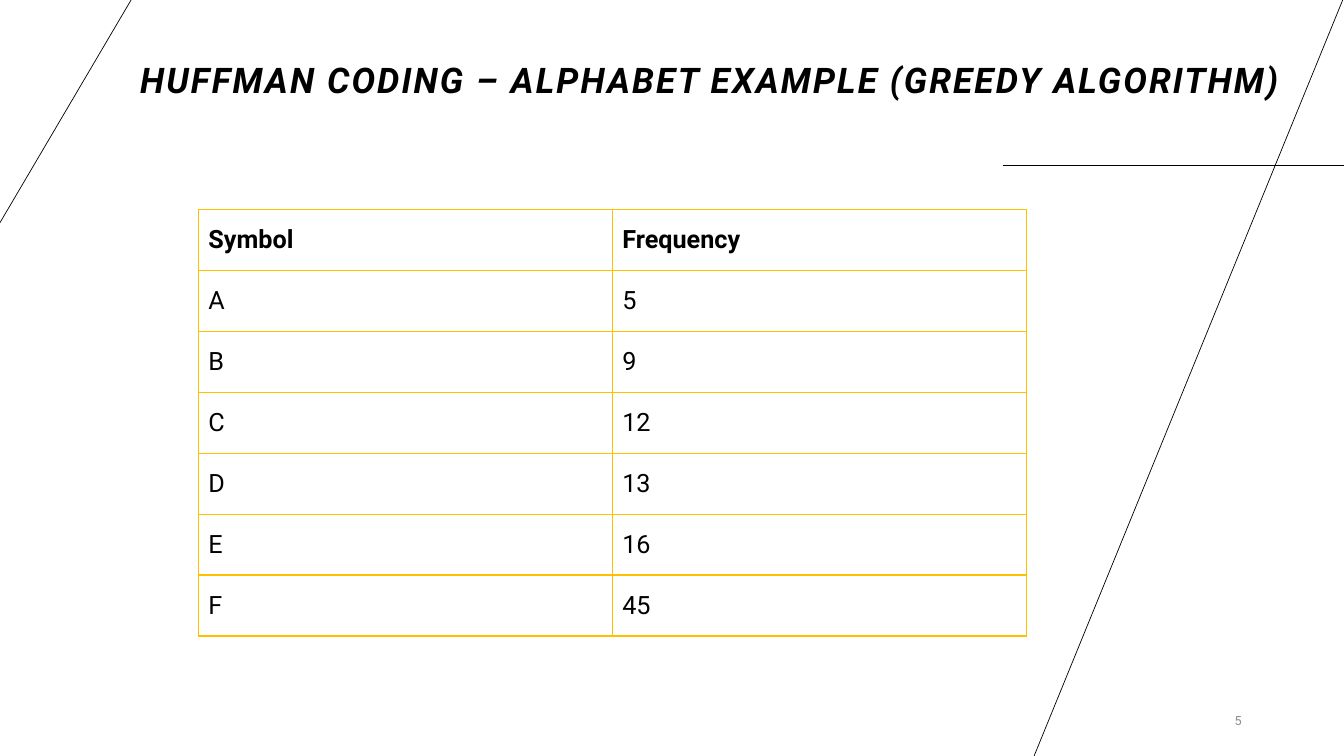
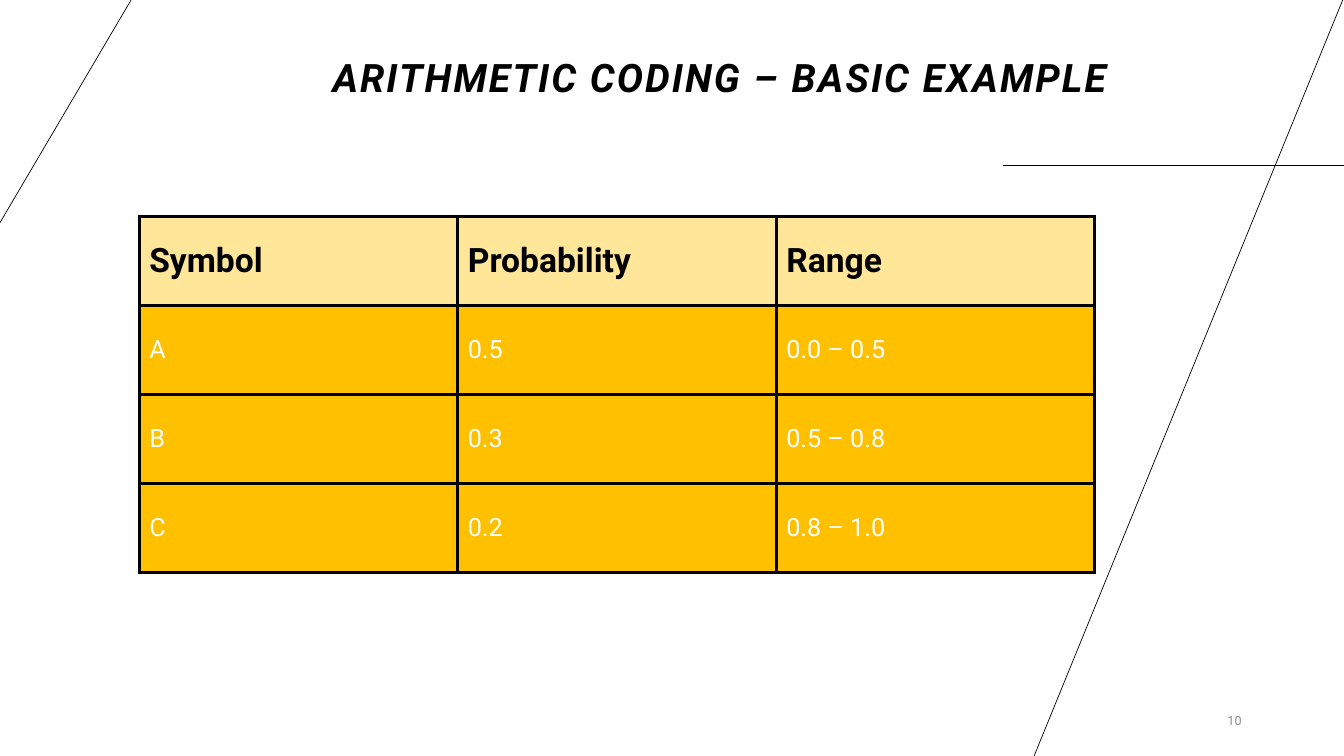
"""Build two slides that show worked examples of entropy coding as tables."""
from dataclasses import dataclass

from lxml.etree import SubElement
from pptx import Presentation
from pptx.dml.color import RGBColor
from pptx.enum.shapes import MSO_CONNECTOR as Connector
from pptx.enum.text import MSO_ANCHOR as Anchor, PP_ALIGN as Align
from pptx.oxml.ns import qn
from pptx.slide import Slide
from pptx.table import _Cell as Cell
from pptx.util import Cm, Pt

BLACK = RGBColor(0x00, 0x00, 0x00)
WHITE = RGBColor(0xFF, 0xFF, 0xFF)
GREY = RGBColor(0x8C, 0x8C, 0x8C)
GOLD = RGBColor(0xFF, 0xC0, 0x00)
CREAM = RGBColor(0xFF, 0xE6, 0x99)
FONT = "Roboto"
BLANK_LAYOUT = 6


@dataclass(frozen=True)
class Line:
    x1: float
    y1: float
    x2: float
    y2: float


@dataclass(frozen=True)
class Box:
    left: float
    top: float
    width: float
    height: float


@dataclass(frozen=True)
class TextStyle:
    size: float
    color: RGBColor
    bold: bool = False
    italic: bool = False
    spacing: float = 0


@dataclass(frozen=True)
class RowStyle:
    text: TextStyle
    fill: RGBColor | None = None


@dataclass(frozen=True)
class TableStyle:
    header: RowStyle
    body: RowStyle
    border: RGBColor
    border_width: float


@dataclass(frozen=True)
class Example:
    title: str
    title_size: float
    title_align: Align
    number: int
    box: Box
    rows: list[tuple[str, ...]]
    style: TableStyle


DECOR = (
    Line(25.27, 4.17, 33.87, 4.17),
    Line(33.87, -0.08, 26.06, 19.05),
    Line(0, 5.61, 3.35, -0.08),
)
TITLE_BOX = Box(3.28, 0.38, 29.72, 2.29)
NUMBER_BOX = Box(28.8, 17.65, 2.74, 1.02)
NUMBER_STYLE = TextStyle(9, GREY)

OUTLINED = TableStyle(
    RowStyle(TextStyle(18, BLACK, bold=True)),
    RowStyle(TextStyle(18, BLACK)),
    GOLD, 1,
)
FILLED = TableStyle(
    RowStyle(TextStyle(24, BLACK, bold=True), CREAM),
    RowStyle(TextStyle(18, WHITE), GOLD),
    BLACK, 2.25,
)

EXAMPLES = (
    Example(
        "HUFFMAN CODING – ALPHABET EXAMPLE (GREEDY ALGORITHM)", 25.2, Align.LEFT, 5,
        Box(5, 5.28, 20.86, 10.75),
        [("Symbol", "Frequency"), ("A", "5"), ("B", "9"), ("C", "12"),
         ("D", "13"), ("E", "16"), ("F", "45")],
        OUTLINED,
    ),
    Example(
        "ARITHMETIC CODING – BASIC EXAMPLE", 28, Align.CENTER, 10,
        Box(3.51, 5.46, 24.08, 8.97),
        [("Symbol", "Probability", "Range"), ("A", "0.5", "0.0 – 0.5"),
         ("B", "0.3", "0.5 – 0.8"), ("C", "0.2", "0.8 – 1.0")],
        FILLED,
    ),
)


def lengths(box: Box) -> tuple[Cm, Cm, Cm, Cm]:
    return Cm(box.left), Cm(box.top), Cm(box.width), Cm(box.height)


def add_run(para, text: str, style: TextStyle) -> None:
    span = para.add_run()
    span.text = text
    font = span.font
    font.name, font.size = FONT, Pt(style.size)
    font.bold, font.italic = style.bold, style.italic
    font.color.rgb = style.color
    if style.spacing:
        span._r.get_or_add_rPr().set("spc", str(round(style.spacing * 100)))


def add_line(page: Slide, line: Line) -> None:
    ends = Cm(line.x1), Cm(line.y1), Cm(line.x2), Cm(line.y2)
    connector = page.shapes.add_connector(Connector.STRAIGHT, *ends)
    connector.line.color.rgb = BLACK
    connector.line.width = Pt(0.5)
    SubElement(connector._element.spPr, qn("a:effectLst"))


def add_text(page: Slide, box: Box, text: str, style: TextStyle,
             align: Align, anchor: Anchor, line_spacing: float = 1.0) -> None:
    frame = page.shapes.add_textbox(*lengths(box)).text_frame
    frame.word_wrap = True
    frame.vertical_anchor = anchor
    para = frame.paragraphs[0]
    para.alignment = align
    para.line_spacing = line_spacing
    add_run(para, text, style)


def set_borders(cell: Cell, color: RGBColor, width: float) -> None:
    properties = cell._tc.get_or_add_tcPr()
    for side in ("a:lnL", "a:lnR", "a:lnT", "a:lnB"):
        border = SubElement(properties, qn(side), w=str(Pt(width)))
        fill = SubElement(border, qn("a:solidFill"))
        SubElement(fill, qn("a:srgbClr"), val=str(color))


def fill_cell(cell: Cell, text: str, style: RowStyle) -> None:
    cell.vertical_anchor = Anchor.MIDDLE
    if style.fill is None:
        cell.fill.background()
    else:
        cell.fill.solid()
        cell.fill.fore_color.rgb = style.fill
    add_run(cell.text_frame.paragraphs[0], text, style.text)


def add_grid(page: Slide, example: Example) -> None:
    rows, style = example.rows, example.style
    shape = page.shapes.add_table(len(rows), len(rows[0]), *lengths(example.box))
    table = shape.table
    table.horz_banding = False
    for row_index, row in enumerate(rows):
        row_style = style.body if row_index else style.header
        for column_index, text in enumerate(row):
            cell = table.cell(row_index, column_index)
            set_borders(cell, style.border, style.border_width)
            fill_cell(cell, text, row_style)


def add_example(deck, example: Example) -> None:
    page = deck.slides.add_slide(deck.slide_layouts[BLANK_LAYOUT])
    for line in DECOR:
        add_line(page, line)
    title_style = TextStyle(example.title_size, BLACK, True, True, 1.5)
    add_text(page, TITLE_BOX, example.title, title_style,
             example.title_align, Anchor.BOTTOM, 0.9)
    add_text(page, NUMBER_BOX, str(example.number), NUMBER_STYLE,
             Align.RIGHT, Anchor.MIDDLE)
    add_grid(page, example)


def main() -> None:
    deck = Presentation()
    deck.slide_width, deck.slide_height = Cm(33.87), Cm(19.05)
    for example in EXAMPLES:
        add_example(deck, example)
    deck.save("out.pptx")


if __name__ == "__main__":
    main()
